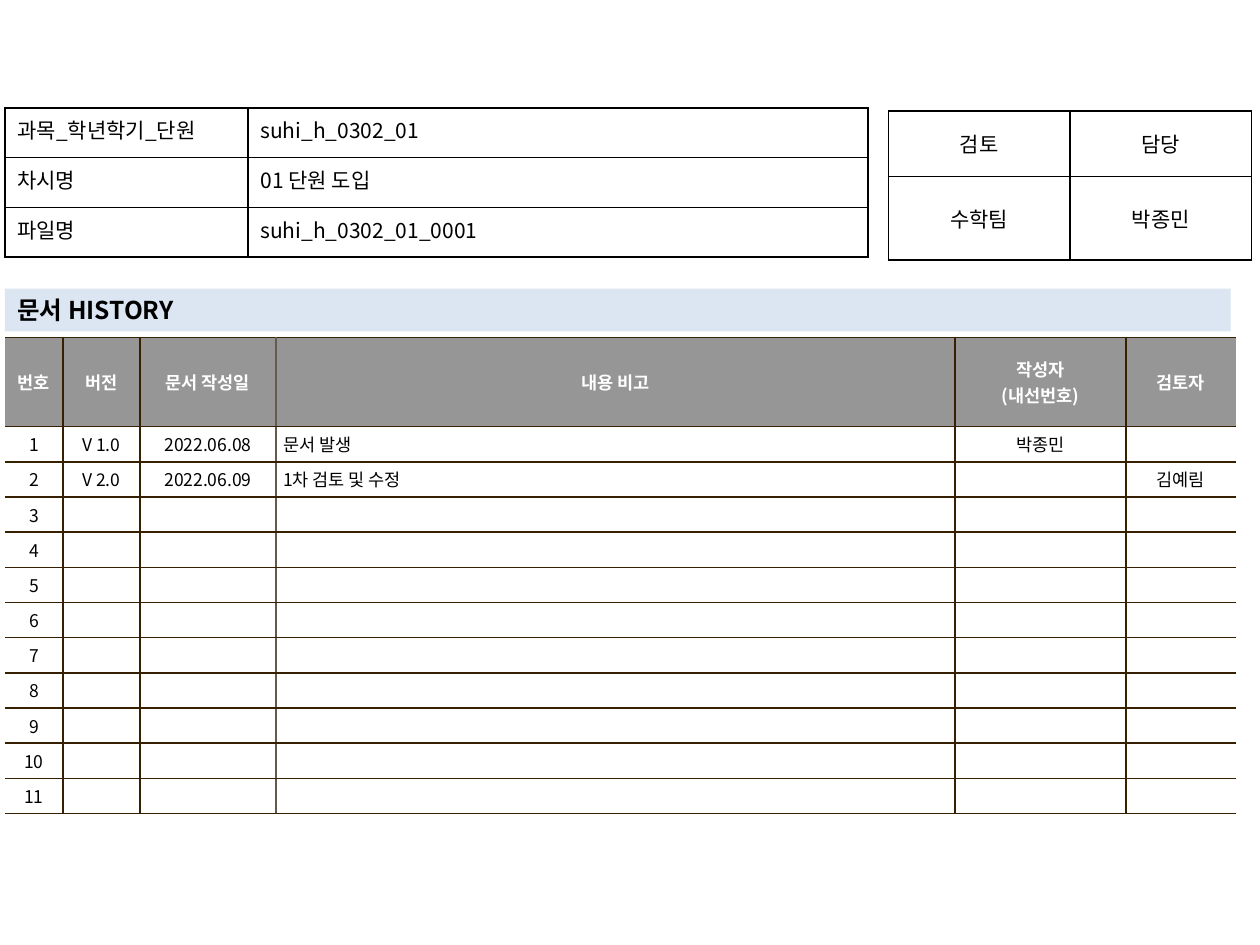
from lxml.etree import SubElement
from pptx import Presentation
from pptx.dml.color import RGBColor
from pptx.enum.shapes import MSO_SHAPE
from pptx.enum.text import MSO_ANCHOR as Anchor, PP_ALIGN as Align
from pptx.oxml.ns import qn
from pptx.util import Cm, Pt

FONT = "Noto Sans CJK KR"
BLACK, WHITE, GRAY, PALE_BLUE = "000000", "FFFFFF", "969696", "DCE6F2"
BROWN, TAUPE = "362000", "645B4C"
HISTORY_HEADER = ["번호", "버전", "문서 작성일", "내용 비고", "작성자\n(내선번호)", "검토자"]
HISTORY_ENTRIES = [
    ["V 1.0", "2022.06.08", "문서 발생", "박종민", ""],
    ["V 2.0", "2022.06.09", "1차 검토 및 수정", "", "김예림"],
]
HISTORY_COUNT = 11
NOTE_COLUMN = 3


def rgb(value):
    """Turn a hex string into a colour."""
    return RGBColor.from_string(value)


def write_text(frame, text, size=12, color=BLACK, bold=False, align=Align.LEFT, hanging=0):
    """Write one paragraph per line of text with a single format."""
    for index, line in enumerate(text.split("\n")):
        para = frame.add_paragraph() if index else frame.paragraphs[0]
        para.alignment = align
        if hanging:
            properties = para._p.get_or_add_pPr()
            properties.set("marL", str(Cm(hanging)))
            properties.set("indent", str(-Cm(hanging)))
        if not line:
            SubElement(para._p, qn("a:endParaRPr"), sz=str(size * 100))
            continue
        span = para.add_run()
        span.text = line
        span.font.name = FONT
        span.font.size = Pt(size)
        span.font.bold = bold
        span.font.color.rgb = rgb(color)
        SubElement(span.font._element, qn("a:ea"), typeface=FONT)


def set_borders(cell, **colors):
    """Draw 1 pt cell borders, or none where the colour is None; sides are L, R, T and B."""
    properties = cell._tc.get_or_add_tcPr()
    for position, side in enumerate("LRTB"):
        line = SubElement(properties, qn("a:ln" + side), w=str(Pt(1)))
        if colors[side]:
            fill = SubElement(line, qn("a:solidFill"))
            SubElement(fill, qn("a:srgbClr"), val=colors[side])
        else:
            SubElement(line, qn("a:noFill"))
        properties.insert(position, line)


def add_grid(page, left, top, widths, heights):
    """Add an unbanded table with the given column widths and row heights in cm."""
    frame = page.shapes.add_table(
        len(heights), len(widths), Cm(left), Cm(top), Cm(sum(widths)), Cm(sum(heights))
    )
    table = frame.table
    table.first_row = table.horz_banding = False
    for column, width in zip(table.columns, widths):
        column.width = Cm(width)
    for row, height in zip(table.rows, heights):
        row.height = Cm(height)
    return table


def fill_cell(cell, text, margins, anchor, fill=None, **text_format):
    """Set margins, anchor, fill and text of a table cell."""
    cell.margin_left = cell.margin_right = Cm(margins[0])
    cell.margin_top = cell.margin_bottom = Cm(margins[1])
    cell.vertical_anchor = anchor
    if fill:
        cell.fill.solid()
        cell.fill.fore_color.rgb = rgb(fill)
    else:
        cell.fill.background()
    write_text(cell.text_frame, text, **text_format)


def add_simple_table(page, left, top, widths, heights, rows, anchor, aligns):
    """Add a black-ruled table without fill, with one alignment per column."""
    table = add_grid(page, left, top, widths, heights)
    for row, texts in enumerate(rows):
        for column, text in enumerate(texts):
            cell = table.cell(row, column)
            fill_cell(cell, text, (0.25, 0.13), anchor, align=aligns[column])
            set_borders(cell, L=BLACK, R=BLACK, T=BLACK, B=BLACK)


def add_history_table(page):
    """Add the revision table, open at its left and right edges."""
    blanks = [[""] * 5] * (HISTORY_COUNT - len(HISTORY_ENTRIES))
    entries = [[str(number), *entry] for number, entry in enumerate(HISTORY_ENTRIES + blanks, 1)]
    widths = [1.17, 1.55, 2.74, 13.69, 3.45, 2.21]
    verticals = [None, BROWN, BROWN, TAUPE, BROWN, BROWN, None]
    table = add_grid(page, 0.1, 6.8, widths, [1.8] + [0.64] * HISTORY_COUNT)
    for row, texts in enumerate([HISTORY_HEADER] + entries):
        header = row == 0
        for column, text in enumerate(texts):
            cell = table.cell(row, column)
            note = column == NOTE_COLUMN and not header
            fill_cell(
                cell, text, (0.15, 0.1), Anchor.MIDDLE,
                fill=GRAY if header else WHITE,
                size=10, bold=header,
                color=WHITE if header else BLACK,
                align=Align.LEFT if note else Align.CENTER,
                hanging=0.48 if note else 0,
            )
            set_borders(cell, L=verticals[column], R=verticals[column + 1], T=BROWN, B=BROWN)


def add_title_bar(page, text):
    """Add the pale heading bar above the revision table."""
    bar = page.shapes.add_shape(MSO_SHAPE.RECTANGLE, Cm(0.1), Cm(5.82), Cm(24.71), Cm(0.86))
    bar.shadow.inherit = False
    bar.fill.solid()
    bar.fill.fore_color.rgb = rgb(PALE_BLUE)
    bar.line.fill.background()
    bar.text_frame.word_wrap = True
    bar.text_frame.vertical_anchor = Anchor.MIDDLE
    write_text(bar.text_frame, text, size=14, bold=True)


def main():
    """Build the document history slide."""
    deck = Presentation()
    deck.slide_width, deck.slide_height = Cm(25.4), Cm(19.05)
    page = deck.slides.add_slide(deck.slide_layouts[6])
    add_history_table(page)
    add_simple_table(
        page, 17.91, 2.24, [3.66, 3.66], [1.32, 1.68],
        [["검토", "담당"], ["수학팀", "박종민"]],
        Anchor.MIDDLE, [Align.CENTER, Align.CENTER],
    )
    add_title_bar(page, "문서 HISTORY")
    add_simple_table(
        page, 0.1, 2.18, [4.9, 12.5], [1, 1, 1],
        [
            ["과목_학년학기_단원", "suhi_h_0302_01"],
            ["차시명", "01 단원 도입"],
            ["파일명", "suhi_h_0302_01_0001"],
        ],
        Anchor.TOP, [Align.JUSTIFY, Align.LEFT],
    )
    deck.save("out.pptx")


if __name__ == "__main__":
    main()
